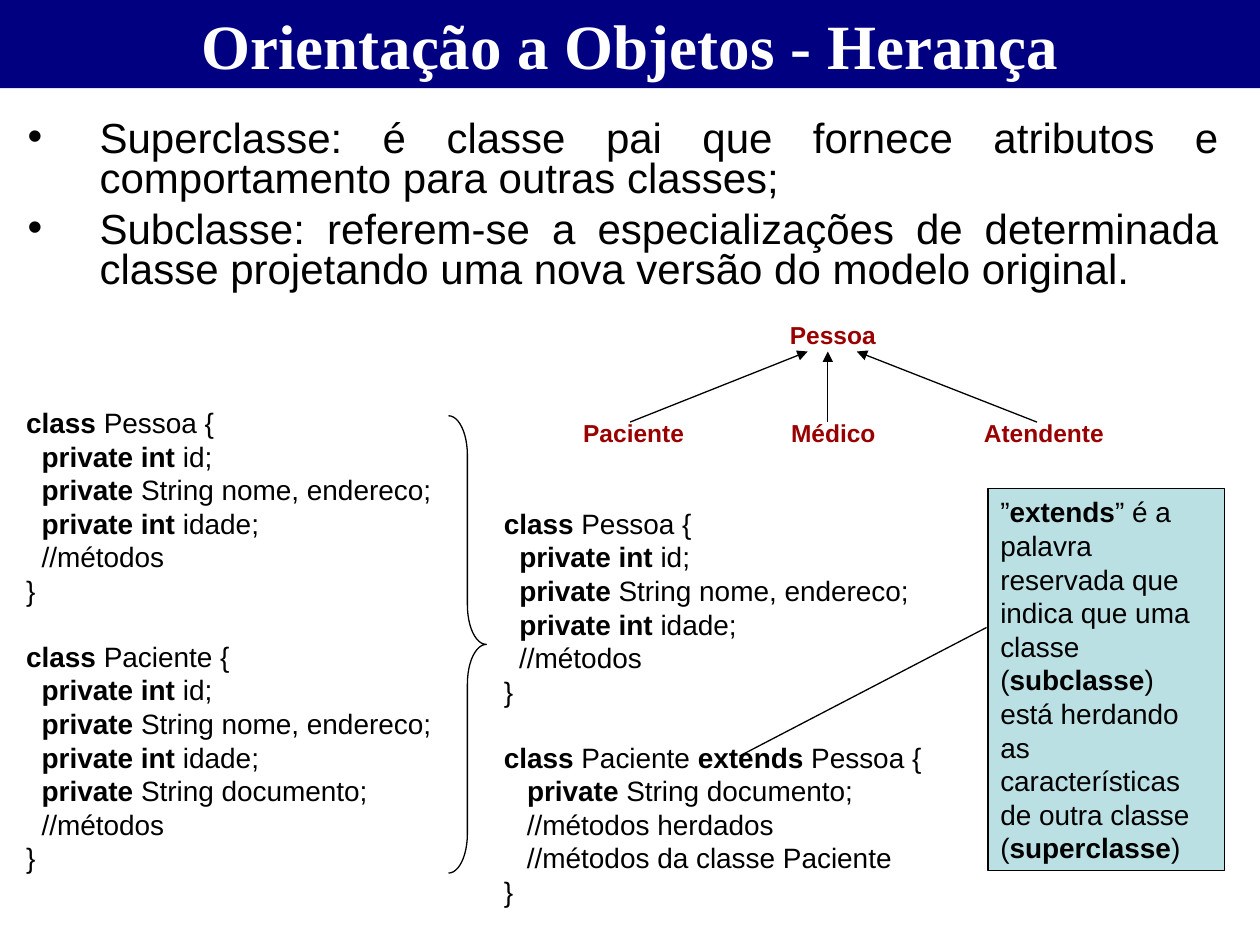
from dataclasses import dataclass
from typing import NamedTuple

from lxml import etree
from pptx import Presentation
from pptx.dml.color import RGBColor
from pptx.enum.shapes import MSO_CONNECTOR, MSO_SHAPE
from pptx.enum.text import MSO_ANCHOR, MSO_AUTO_SIZE, PP_ALIGN
from pptx.oxml.ns import qn
from pptx.util import Emu, Inches, Pt

LINE = MSO_CONNECTOR.STRAIGHT
RECT, BRACE = MSO_SHAPE.RECTANGLE, MSO_SHAPE.RIGHT_BRACE
TOP, MIDDLE = MSO_ANCHOR.TOP, MSO_ANCHOR.MIDDLE
CENTER, JUSTIFY = PP_ALIGN.CENTER, PP_ALIGN.JUSTIFY
NO_FIT = MSO_AUTO_SIZE.NONE

UNIT = Inches(0.1)  # the slide is a grid of 100 columns by 75 rows
COLS, ROWS = 100, 75


@dataclass(frozen=True)
class Theme:
    navy: RGBColor = RGBColor(0, 0, 128)
    white: RGBColor = RGBColor(255, 255, 255)
    black: RGBColor = RGBColor(0, 0, 0)
    red: RGBColor = RGBColor(153, 0, 0)
    pale: RGBColor = RGBColor(187, 224, 227)
    serif: str = "Times New Roman"
    sans: str = "Arial"
    title: float = 36
    body: float = 24
    code: float = 16
    label: float = 14
    rule: float = 0.75


THEME = Theme()


class Box(NamedTuple):
    col: float
    row: float
    wide: float
    high: float


class Label(NamedTuple):
    text: str
    box: Box


class Link(NamedTuple):
    start: tuple[float, float]
    end: tuple[float, float]
    arrow: bool = True


class Code(NamedTuple):
    box: Box
    blocks: list[list[str]]


def grid(*spots: float) -> list[Emu]:
    return [Emu(round(spot * UNIT)) for spot in spots]


def place(shape, box: Box) -> None:
    shape.left, shape.top, shape.width, shape.height = grid(*box)


def style(para, size: float, color: RGBColor, name: str = THEME.sans) -> None:
    para.font.size, para.font.name = Pt(size), name
    para.font.color.rgb = color


def write(para, text: str) -> None:
    """Fill a paragraph; parts between asterisks are bold."""
    for num, part in enumerate(text.split("*")):
        if part:
            run = para.add_run()
            run.text = part
            if num % 2:
                run.font.bold = True
    style(para, THEME.code, THEME.black)


def edge(shape) -> None:
    shape.line.color.rgb = THEME.black
    shape.line.width = Pt(THEME.rule)


def add_title(slide, text: str) -> None:
    title = slide.shapes.title
    place(title, Box(0, 0, COLS, 7))
    title.fill.solid()
    title.fill.fore_color.rgb = THEME.navy
    frame = title.text_frame
    frame.text, frame.vertical_anchor, frame.auto_size = text, MIDDLE, NO_FIT
    para = frame.paragraphs[0]
    para.alignment = CENTER
    style(para, THEME.title, THEME.white, THEME.serif)
    para.font.bold = True


def add_list(slide, box: Box, items: list[str]) -> None:
    body = slide.placeholders[1]
    place(body, box)
    frame = body.text_frame
    frame.text = "\n".join(items)
    frame.vertical_anchor, frame.auto_size = TOP, NO_FIT
    hang = Inches(0.57)
    for num, para in enumerate(frame.paragraphs):
        props = para._p.get_or_add_pPr()
        props.set("marL", str(hang))
        props.set("indent", str(-hang))
        para.alignment, para.line_spacing = JUSTIFY, 0.8
        para.space_before, para.space_after = Pt(3 if num else 0), Pt(3)
        style(para, THEME.body, THEME.black)


def add_code(slide, code: Code) -> None:
    frame = slide.shapes.add_textbox(*grid(*code.box)).text_frame
    frame.word_wrap = True
    para = None
    for block in code.blocks:
        for num, line in enumerate(block):
            gap = para is not None and num == 0
            para = frame.add_paragraph() if para else frame.paragraphs[0]
            if gap:
                para.space_before = Pt(THEME.code * 1.15)
            write(para, line)


def add_note(slide, box: Box, text: str) -> None:
    note = slide.shapes.add_shape(RECT, *grid(*box))
    note.shadow.inherit = False
    note.fill.solid()
    note.fill.fore_color.rgb = THEME.pale
    edge(note)
    frame = note.text_frame
    frame.word_wrap, frame.vertical_anchor = True, TOP
    para = frame.paragraphs[0]
    para.alignment = PP_ALIGN.LEFT
    write(para, text)


def add_label(slide, label: Label) -> None:
    frame = slide.shapes.add_textbox(*grid(*label.box)).text_frame
    frame.text, frame.word_wrap = label.text, False
    para = frame.paragraphs[0]
    style(para, THEME.label, THEME.red)
    para.font.bold = True


def add_link(slide, link: Link) -> None:
    line = slide.shapes.add_connector(LINE, *grid(*link.start, *link.end))
    edge(line)
    if link.arrow:
        etree.SubElement(line.line._get_or_add_ln(), qn("a:tailEnd"), type="triangle")
    etree.SubElement(line._element.spPr, qn("a:effectLst"))


def add_brace(slide, box: Box) -> None:
    brace = slide.shapes.add_shape(BRACE, *grid(*box))
    brace.shadow.inherit = False
    brace.fill.background()
    edge(brace)
    brace.adjustments[0] = 1.04


ITEMS = [
    "Superclasse: é classe pai que fornece atributos e comportamento para outras classes;",
    "Subclasse: referem-se a especializações de determinada classe projetando "
    "uma nova versão do modelo original.",
]
FIELDS = ["  *private int* id;", "  *private* String nome, endereco;", "  *private int* idade;"]
PERSON = ["*class* Pessoa {", *FIELDS, "  //métodos", "}"]
PATIENT = ["*class* Paciente {", *FIELDS, "  *private* String documento;", "  //métodos", "}"]
CHILD = ["*class* Paciente *extends* Pessoa {", "   *private* String documento;",
         "   //métodos herdados", "   //métodos da classe Paciente", "}"]
CODES = [
    Code(Box(1.1, 31.7, 36.6, 38.3), [PERSON, PATIENT]),
    Code(Box(39, 39.7, 36.5, 33), [PERSON, CHILD]),
]
NOTE = ("”*extends*” é a palavra reservada que indica que uma classe (*subclasse*) "
        "está herdando as características de outra classe (*superclasse*)")
LOW, HIGH = 33.5, 27.9  # rows where the arrows start and end
LABELS = [
    Label("Pessoa", Box(61.7, 24.9, 8.8, 3.4)),
    Label("Paciente", Box(45.3, 32.7, 10, 3.4)),
    Label("Médico", Box(61.8, 32.7, 8.7, 3.4)),
    Label("Atendente", Box(77.1, 32.7, 11.5, 3.4)),
]
LINKS = [
    Link((58.7, 60), (78.3, 49.8), arrow=False),
    *(Link((tail, LOW), (head, HIGH))
      for tail, head in [(50, 64.1), (65.7, 65.7), (82.3, 68)]),
]


def main() -> None:
    deck = Presentation()
    deck.slide_width, deck.slide_height = grid(COLS, ROWS)
    slide = deck.slides.add_slide(deck.slide_layouts[1])
    add_title(slide, "Orientação a Objetos - Herança")
    add_list(slide, Box(1.2, 9.1, 96.5, 16.5), ITEMS)
    for code in CODES:
        add_code(slide, code)
    add_note(slide, Box(78.4, 38.8, 18.8, 30.3), NOTE)
    for label in LABELS:
        add_label(slide, label)
    for link in LINKS:
        add_link(slide, link)
    add_brace(slide, Box(35.6, 33, 3, 36.3))
    deck.save("out.pptx")


if __name__ == "__main__":
    main()
